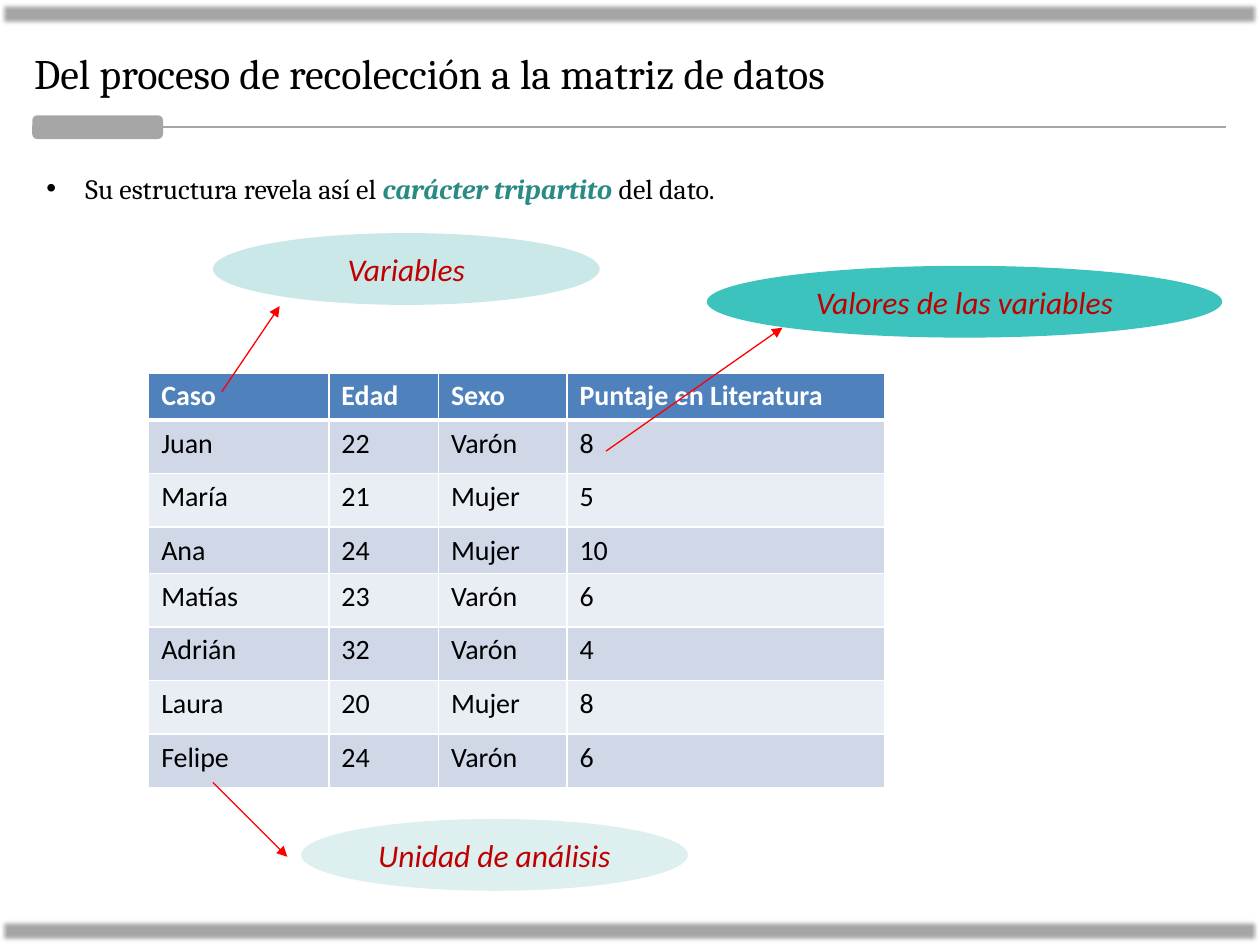
import dataclasses

import lxml.etree
import pptx
import pptx.dml.color
import pptx.enum.shapes
import pptx.enum.text
import pptx.oxml.ns
import pptx.util

COLORS = {
    "gray": "A6A6A6", "black": "000000", "white": "FFFFFF", "teal": "2A8A85",
    "label": "C00000", "arrow": "FF0000", "header": "4F81BD",
    "odd": "D0D8E8", "even": "E9EDF4",
    "variables": "CAE8E7", "unit": "DDEFEF", "values": "3DC3BD",
}
COLS, ROWS = 100, 75  # slide grid, one cell is a tenth of an inch
CELL = pptx.util.Inches(0.1)
SHAPES = pptx.enum.shapes.MSO_SHAPE
ALIGN = pptx.enum.text.PP_ALIGN
FIT = pptx.enum.text.MSO_AUTO_SIZE.SHAPE_TO_FIT_TEXT

TABLE = [
    ("Caso", "Edad", "Sexo", "Puntaje en Literatura"),
    ("Juan", "22", "Varón", "8"),
    ("María", "21", "Mujer", "5"),
    ("Ana", "24", "Mujer", "10"),
    ("Matías", "23", "Varón", "6"),
    ("Adrián", "32", "Varón", "4"),
    ("Laura", "20", "Mujer", "8"),
    ("Felipe", "24", "Varón", "6"),
]
TABLE_COLS = [14.3, 8.7, 10.2, 25.2]
TABLE_ROWS = [3.75, 4.25, 4.25, 3.65, 4.25, 4.25, 4.25, 4.25]


@dataclasses.dataclass
class Box:
    col: float
    row: float
    cols: float
    rows: float

    def emu(self) -> list[int]:
        return [grid(n) for n in dataclasses.astuple(self)]


@dataclasses.dataclass
class Callout:
    text: str
    box: Box
    fill: str
    start: tuple[float, float]
    end: tuple[float, float]


CALLOUTS = [
    Callout("Variables", Box(16.9, 18.5, 30.7, 5.7), "variables", (17.6, 31.1), (22.2, 24.3)),
    Callout("Unidad de análisis", Box(23.9, 65, 30.7, 5.7), "unit", (16.9, 62.1), (22.8, 68)),
    Callout("Valores de las variables", Box(56.1, 21.1, 40.9, 5.7), "values", (48.1, 35.8), (62.1, 26)),
]


def grid(n: float) -> int:
    return pptx.util.Emu(round(n * CELL))


def color(name: str) -> pptx.dml.color.RGBColor:
    return pptx.dml.color.RGBColor.from_string(COLORS[name])


def sub(parent, tag: str, **attrs: str):
    return lxml.etree.SubElement(parent, pptx.oxml.ns.qn(tag), **attrs)


def style(font, size: float, name: str, tint: str, bold: bool = False, italic: bool = False) -> None:
    font.size, font.name = pptx.util.Pt(size), name
    font.bold, font.italic = bold, italic
    font.color.rgb = color(tint)


def add_shape(s, kind, box: Box, fill: str):
    sp = s.shapes.add_shape(kind, *box.emu())
    sp.shadow.inherit = False
    sp.fill.solid()
    sp.fill.fore_color.rgb = color(fill)
    sp.line.fill.background()
    return sp


def add_line(s, start: tuple, end: tuple, tint: str, width: float, arrow: bool = False) -> None:
    line = s.shapes.add_connector(
        pptx.enum.shapes.MSO_CONNECTOR.STRAIGHT, *[grid(n) for n in start + end])
    line.line.color.rgb = color(tint)
    line.line.width = pptx.util.Pt(width)
    if arrow:
        sub(line.line._get_or_add_ln(), "a:tailEnd", type="triangle")
    sub(line._element.spPr, "a:effectLst")


def add_bar(s, row: float) -> None:
    bar = add_shape(s, SHAPES.RECTANGLE, Box(0, row, COLS, 2), "gray")
    effects = bar._element.spPr.find(pptx.oxml.ns.qn("a:effectLst"))
    sub(effects, "a:softEdge", rad=str(pptx.util.Pt(2.5)))


def add_title(s, text: str) -> None:
    sp = s.shapes.title
    sp.left, sp.top, sp.width, sp.height = Box(1.7, 3.3, 95.6, 5).emu()
    tf = sp.text_frame
    tf.text, tf.auto_size = text, FIT
    p = tf.paragraphs[0]
    p.alignment = ALIGN.LEFT
    style(p.font, 24, "Cambria", "black")


def add_bullet(s, box: Box) -> None:
    tf = s.shapes.add_textbox(*box.emu()).text_frame
    tf.word_wrap, tf.auto_size = True, FIT
    p = tf.paragraphs[0]
    p.alignment = ALIGN.JUSTIFY
    ppr = p._p.get_or_add_pPr()
    indent = grid(3.1)
    ppr.set("marL", str(indent))
    ppr.set("indent", str(-indent))
    sub(ppr, "a:buFont", typeface="Arial")
    sub(ppr, "a:buChar", char="•")
    for text, tint, strong in [("Su estructura revela así el ", "black", False),
                               ("carácter tripartito", "teal", True),
                               (" del dato.", "black", False)]:
        r = p.add_run()
        r.text = text
        style(r.font, 16, "Cambria", tint, strong, strong)


def set_borders(cell, bottom: float) -> None:
    tcpr = cell._tc.get_or_add_tcPr()
    for side, width in [("L", 1), ("R", 1), ("T", 1), ("B", bottom)]:
        ln = sub(tcpr, f"a:ln{side}", w=str(pptx.util.Pt(width)))
        sub(sub(ln, "a:solidFill"), "a:srgbClr", val=COLORS["white"])


def add_table(s, col: float, row: float) -> None:
    box = Box(col, row, sum(TABLE_COLS), sum(TABLE_ROWS))
    table = s.shapes.add_table(len(TABLE), len(TABLE_COLS), *box.emu()).table
    for column, width in zip(table.columns, TABLE_COLS):
        column.width = grid(width)
    for i, (values, height) in enumerate(zip(TABLE, TABLE_ROWS)):
        table.rows[i].height = grid(height)
        header = i == 0
        fill = "header" if header else "odd" if i % 2 else "even"
        for j, value in enumerate(values):
            cell = table.cell(i, j)
            cell.text = value
            style(cell.text_frame.paragraphs[0].font, 16, "Calibri",
                  "white" if header else "black", bold=header)
            set_borders(cell, 3 if header else 1)
            cell.fill.solid()
            cell.fill.fore_color.rgb = color(fill)


def add_callout(s, callout: Callout) -> None:
    add_line(s, callout.start, callout.end, "arrow", 0.75, arrow=True)
    sp = add_shape(s, SHAPES.OVAL, callout.box, callout.fill)
    tf = sp.text_frame
    tf.text, tf.word_wrap = callout.text, True
    p = tf.paragraphs[0]
    p.alignment = ALIGN.CENTER
    style(p.font, 18, "Calibri", "label", italic=True)


def main() -> None:
    prs = pptx.Presentation()
    prs.slide_width, prs.slide_height = grid(COLS), grid(ROWS)
    s = prs.slides.add_slide(prs.slide_layouts[5])

    # Frame bars and title with its rule
    add_bar(s, 0.1)
    add_bar(s, 72.9)
    add_title(s, "Del proceso de recolección a la matriz de datos")
    tab = add_shape(s, SHAPES.ROUNDED_RECTANGLE, Box(2.7, 9.3, 10.1, 1.6), "gray")
    tab.line.color.rgb = color("gray")
    tab.line.width = pptx.util.Pt(2)
    add_line(s, (12.3, 10.1), (97.3, 10.1), "gray", 1.25)

    # Statement, data matrix and its callouts
    add_bullet(s, Box(2.7, 13.1, 94.5, 3.7))
    add_table(s, 11.8, 29.6)
    for callout in CALLOUTS:
        add_callout(s, callout)

    prs.save("out.pptx")


if __name__ == "__main__":
    main()
